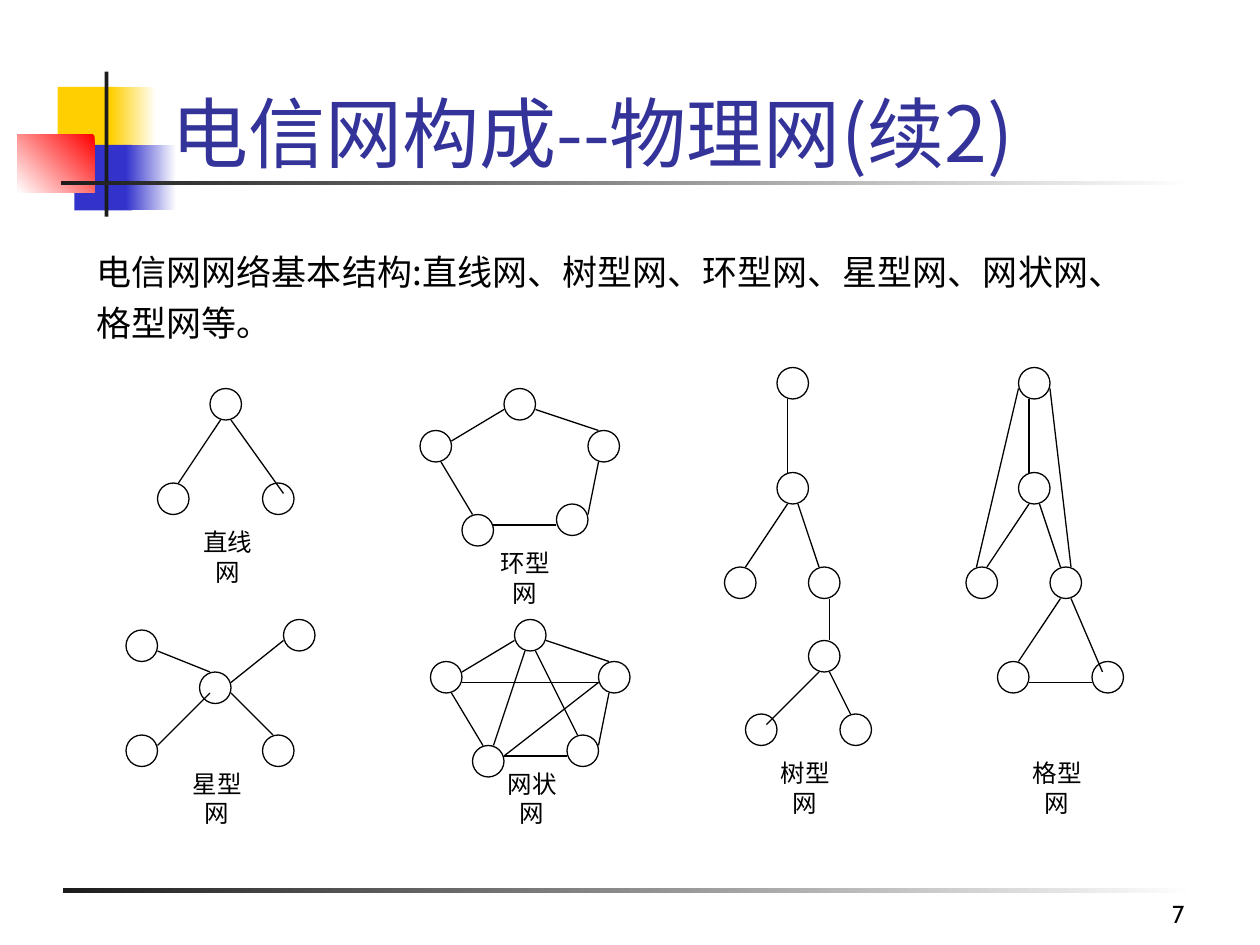
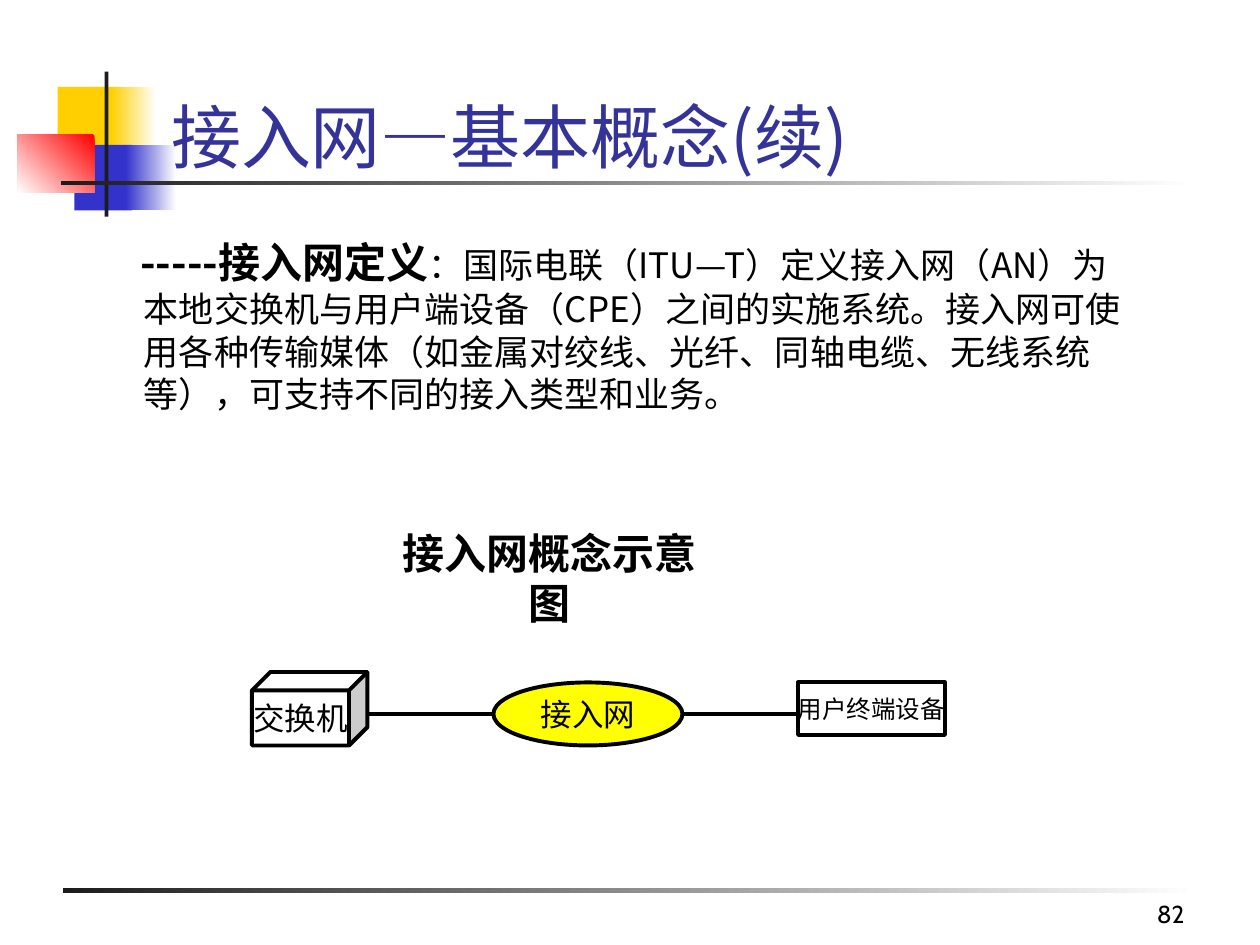
import pptx
import pptx.util
import pptx.dml.color
import pptx.enum.shapes
import pptx.enum.text
import pptx.oxml.ns
import lxml.etree

Pt = pptx.util.Pt
SHAPE = pptx.enum.shapes.MSO_SHAPE
ALIGN = pptx.enum.text.PP_ALIGN
ANCHOR = pptx.enum.text.MSO_ANCHOR
qn = pptx.oxml.ns.qn

CJK, LATIN, NUMERALS = "Noto Sans CJK SC", "Times New Roman", "Cabin"
BLACK, WHITE, INK, TITLE = "000000", "FFFFFF", "1C1C1C", "333399"
YELLOW, BLUE, RED = "FFCF01", "3333CC", "FF0000"

# Decoration on every slide: box, colour, end colour of a gradient, angle
DECOR = [
    ((33, 49.7, 34.5, 37.5), YELLOW, None, 0),
    ((63.4, 49.7, 25.9, 37.5), YELLOW, WHITE, 0),
    ((42.5, 82.8, 33.1, 37.5), BLUE, None, 0),
    ((72, 82.8, 28.8, 37.5), BLUE, WHITE, 0),
    ((10.1, 77, 43.9, 33.1), RED, WHITE, 225),
    ((59.8, 41, 2.2, 82.8), INK, None, 0),
    ((34.6, 103.7, 648, 2.2), INK, WHITE, 0),
    ((36, 507.6, 648, 2.9), INK, WHITE, 0),
]

# Slide 1: networks, drawn on a grid of GRID points
GRID, NODE = 6, 18
INTRO = ["电信网网络基本结构:直线网、树型网、环型网、星型网、网状网、", "格型网等。"]
RING_NODES = [(40, 41), (48, 37), (44, 49), (56, 41), (53, 48)]
RING_LINKS = [(43, 42, 48, 39), (51, 39, 57, 41), (42, 44, 45, 49),
              (47, 50, 53, 50), (57, 44, 56, 49)]
MESH_DX, MESH_DY = 1, 22
MESH_NODES = [(x + MESH_DX, y + MESH_DY) for x, y in RING_NODES]
MESH_LINKS = [(x1 + MESH_DX, y1 + MESH_DY, x2 + MESH_DX, y2 + MESH_DY)
              for x1, y1, x2, y2 in RING_LINKS]
MESH_CHORDS = [(44, 65, 57, 65), (50, 62, 47, 71), (51, 62, 55, 70), (48, 72, 57, 65)]

# name, left and top of the name in points, nodes, links
NETWORKS = [
    ("直线网", 102, 306, [(20, 37), (25, 46), (15, 46)],
     [(21, 40, 17, 46), (22, 40, 27, 47)]),
    ("环型网", 272, 318, RING_NODES, RING_LINKS),
    ("星型网", 96, 444, [(19, 64), (27, 59), (12, 60), (12, 70), (25, 70)],
     [(22, 65, 27, 61), (15, 62, 20, 64), (15, 71, 20, 66), (22, 66, 26, 70)]),
    ("网状网", 276, 444, MESH_NODES, MESH_LINKS + MESH_CHORDS),
    ("树型网", 432, 438,
     [(74, 35), (74, 45), (69, 54), (77, 54), (77, 61), (71, 68), (80, 68)],
     [(75, 38, 75, 45), (75, 48, 71, 54), (76, 48, 78, 54),
      (79, 57, 79, 61), (78, 64, 73, 69), (79, 64, 81, 68)]),
    ("格型网", 576, 438,
     [(97, 35), (97, 45), (92, 54), (100, 54), (95, 63), (104, 63)],
     [(98, 38, 98, 45), (98, 48, 94, 54), (99, 48, 101, 54), (97, 37, 93, 54),
      (100, 37, 102, 54), (101, 57, 97, 63), (102, 57, 105, 64), (98, 65, 104, 65)]),
]

# Slide 2: definition and access chain
DEFINITION = [
    ("-----接入网定义", 24, True),
    ("：国际电联（ITU—T）定义接入网（AN）为本地交换机与用户端设备（CPE）之间的实施系统。"
     "接入网可使用各种传输媒体（如金属对绞线、光纤、同轴电缆、无线系统等），"
     "可支持不同的接入类型和业务。", 20, False),
]
CHAIN_Y = 408
CHAIN = [
    ("交换机", SHAPE.CUBE, (144, 384, 66, 42), WHITE, 18),
    ("接入网", SHAPE.OVAL, (282, 390, 108, 36), "FFFF00", 18),
    ("用户终端设备", SHAPE.RECTANGLE, (456, 390, 84, 30), WHITE, 14),
]


def rgb(color):
    return pptx.dml.color.RGBColor.from_string(color)


def add_run(p, text, size, font=CJK, color=BLACK, bold=False):
    r = p.add_run()
    r.text = text
    r.font.size, r.font.bold, r.font.name = Pt(size), bold, font
    r.font.color.rgb = rgb(color)
    east = lxml.etree.SubElement(r.font._element, qn("a:ea"))
    east.set("typeface", CJK)


def set_indent(p, left, first):
    pPr = p._p.get_or_add_pPr()
    pPr.set("marL", str(Pt(left)))
    pPr.set("indent", str(Pt(first)))


def add_text(s, box, paragraphs, anchor=ANCHOR.TOP, align=ALIGN.LEFT, wrap=True,
             indent=None, leading=None):
    """Each paragraph is a list of add_run argument tuples."""
    tf = s.shapes.add_textbox(*map(Pt, box)).text_frame
    tf.word_wrap, tf.vertical_anchor = wrap, anchor
    for i, runs in enumerate(paragraphs):
        p = tf.add_paragraph() if i else tf.paragraphs[0]
        p.alignment = align
        if indent:
            set_indent(p, *indent)
        if leading:
            p.line_spacing = Pt(leading)
        if i:
            p.space_before = Pt(5)
        for r in runs:
            add_run(p, *r)


def add_shape(s, kind, box, fill, fade=None, angle=0, line=None):
    sp = s.shapes.add_shape(kind, *map(Pt, box))
    sp.shadow.inherit = False
    if fade:
        sp.fill.gradient()
        sp.fill.gradient_angle = angle
        for stop, color in zip(sp.fill.gradient_stops, (fill, fade)):
            stop.color.rgb = rgb(color)
    else:
        sp.fill.solid()
        sp.fill.fore_color.rgb = rgb(fill)
    if line:
        sp.line.color.rgb = rgb(BLACK)
        sp.line.width = Pt(line)
    else:
        sp.line.fill.background()
    return sp


def add_line(s, ends, width):
    kind = pptx.enum.shapes.MSO_CONNECTOR.STRAIGHT
    c = s.shapes.add_connector(kind, *map(Pt, ends))
    c.line.color.rgb = rgb(BLACK)
    c.line.width = Pt(width)
    lxml.etree.SubElement(c._element.spPr, qn("a:effectLst"))


def add_slide(prs, title, size, number):
    s = prs.slides.add_slide(prs.slide_layouts[6])
    for box, color, fade, angle in DECOR:
        add_shape(s, SHAPE.RECTANGLE, box, color, fade, angle)
    add_text(s, (90.7, 21, 613.4, 84.2), [[(title, size, CJK, TITLE)]], ANCHOR.BOTTOM)
    add_text(s, (534, 498, 150, 36), [[(number, 14, NUMERALS)]],
             ANCHOR.BOTTOM, ALIGN.RIGHT)
    return s


def build_networks(prs):
    s = add_slide(prs, "电信网构成--物理网(续2)", 44, "7")
    add_text(s, (48.2, 139.2, 612, 324), [[(text, 20)] for text in INTRO],
             indent=(27, -27), leading=24.3)
    for name, left, top, nodes, links in NETWORKS:
        for x, y in nodes:
            add_shape(s, SHAPE.OVAL, (x * GRID, y * GRID, NODE, NODE), WHITE, line=0.75)
        for link in links:
            add_line(s, [v * GRID for v in link], 0.75)
        add_text(s, (left, top, 56.2, 24.5), [[(name, 14, LATIN)]],
                 ANCHOR.MIDDLE, ALIGN.CENTER, wrap=False)


def build_access(prs):
    s = add_slide(prs, "接入网—基本概念(续)", 40, "82")
    runs = [(text, size, CJK, BLACK, bold) for text, size, bold in DEFINITION]
    add_text(s, (48.2, 136.4, 612, 324), [runs], indent=(27, -2), leading=24.3)
    for name, kind, box, fill, size in CHAIN:
        sp = add_shape(s, kind, box, fill, line=2.25)
        tf = sp.text_frame
        tf.word_wrap, tf.vertical_anchor = False, ANCHOR.MIDDLE
        p = tf.paragraphs[0]
        p.alignment = ALIGN.CENTER
        add_run(p, name, size)
    # Links run from the right edge of one part to the left edge of the next
    for (_, _, a, _, _), (_, _, b, _, _) in zip(CHAIN, CHAIN[1:]):
        add_line(s, (a[0] + a[2], CHAIN_Y, b[0], CHAIN_Y), 2.25)
    add_text(s, (211, 312, 206, 36), [[("接入网概念示意图", 24, CJK, BLACK, True)]],
             ANCHOR.MIDDLE, ALIGN.CENTER, wrap=False)


def main():
    prs = pptx.Presentation()
    prs.slide_width, prs.slide_height = Pt(720), Pt(540)
    build_networks(prs)
    build_access(prs)
    prs.save("out.pptx")


if __name__ == "__main__":
    main()
